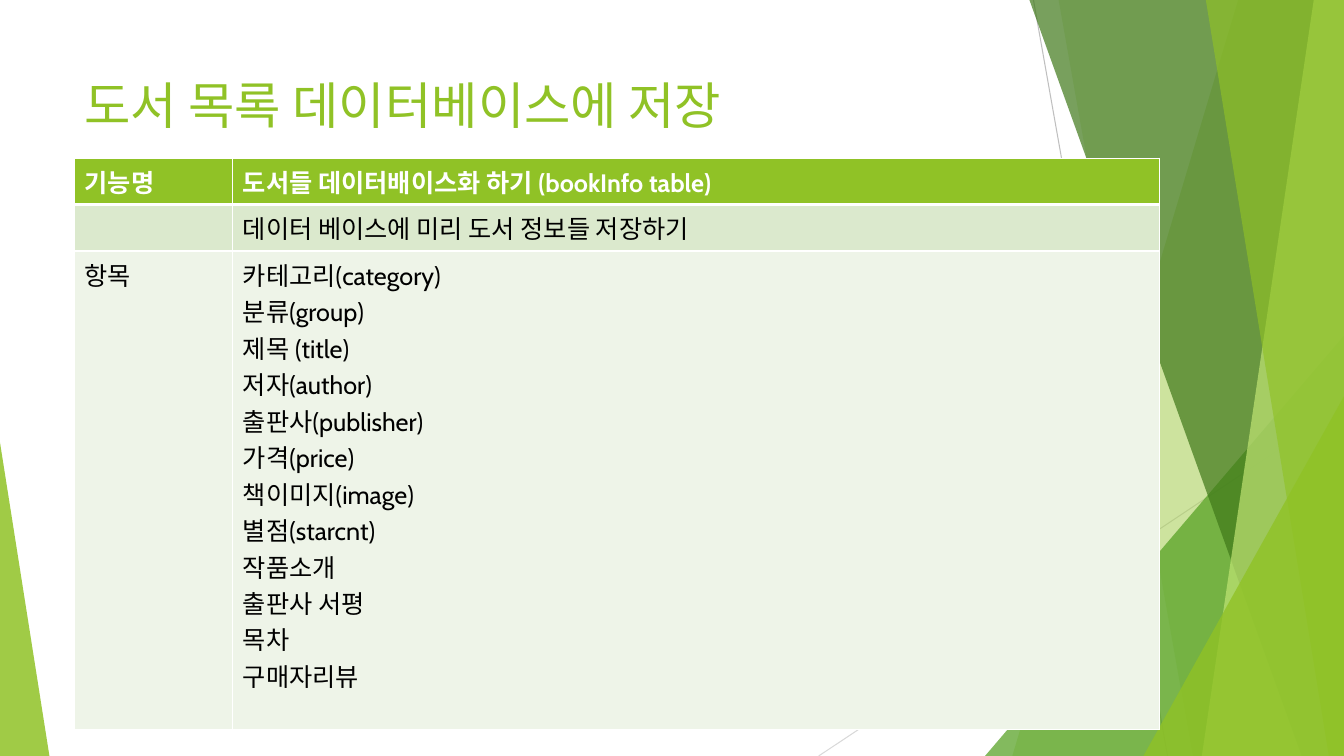
from lxml import etree
from pptx import Presentation
from pptx.dml.color import RGBColor
from pptx.enum.shapes import MSO_CONNECTOR, MSO_SHAPE
from pptx.enum.text import MSO_ANCHOR
from pptx.oxml import parse_xml
from pptx.oxml.ns import nsdecls, qn
from pptx.util import Inches, Pt

STRAIGHT = MSO_CONNECTOR.STRAIGHT
TRIANGLE = MSO_SHAPE.ISOSCELES_TRIANGLE
MIDDLE = MSO_ANCHOR.MIDDLE

# Content
FONT = "Cabin"
GREEN, WHITE, BLACK = "90C226", "FFFFFF", "000000"
W, H = 13.33, 7.5
TITLE = "도서 목록 데이터베이스에 저장"
FIELDS = [
    "카테고리(category)", "분류(group)", "제목 (title)", "저자(author)",
    "출판사(publisher)", "가격(price)", "책이미지(image)", "별점(starcnt)",
    "작품소개", "출판사 서평", "목차", "구매자리뷰",
]
# Each row: height, fill, text colour, bold, cells as lists of paragraphs
ROWS = [
    (0.46, GREEN, WHITE, True,
     (["기능명"], ["도서들 데이터배이스화 하기 (bookInfo table)"])),
    (0.46, "DBE9CD", BLACK, False,
     ([""], ["데이터 베이스에 미리 도서 정보들 저장하기"])),
    (4.75, "EEF4E8", BLACK, False, (["항목"], FIELDS)),
]
COLS = (1.57, 9.19)

# Decoration
LINES = [((10.25, 0), (11.58, H), "BFBFBF"), ((W, 4.03), (8.12, H), "D9D9D9")]
# Bands reach the right edge: (top x, bottom x); triangles: (left, top, width, apex)
PANELS = [
    ("band", (12.28, 10.04), GREEN, 30),
    ("band", (10.5, 11.83), GREEN, 20),
    ("triangle", (9.77, 3.33, 3.56, 1), "54A021", 72),
    ("band", (10.21, 12.91), "3F7819", 70),
    ("band", (13.03, 11.92), "C0E474", 70),
    ("band", (11.96, 13.18), GREEN, 65),
    ("triangle", (11.34, 3.93, 1.99, 1), GREEN, 80),
    ("triangle", (0, 4.39, 0.49, 0), GREEN, 85),
]


def paint(fill, color, opacity=100):
    fill.solid()
    fill.fore_color.rgb = RGBColor.from_string(color)
    if opacity < 100:
        clr = fill._xPr.find(".//" + qn("a:srgbClr"))
        etree.SubElement(clr, qn("a:alpha"), val=str(opacity * 1000))


def write(tf, lines, size, color, bold=False):
    for i, line in enumerate(lines):
        p = tf.add_paragraph() if i else tf.paragraphs[0]
        p.text = line
        p.font.name, p.font.size, p.font.bold = FONT, Pt(size), bold
        paint(p.font.fill, color)


def add_borders(cell, top, bottom):
    tcPr = cell._tc.get_or_add_tcPr()
    widths = (("L", 1), ("R", 1), ("T", top), ("B", bottom))
    for i, (side, width) in enumerate(widths):
        tcPr.insert(i, parse_xml(
            f'<a:ln{side} {nsdecls("a")} w="{Pt(width)}"><a:solidFill>'
            f'<a:srgbClr val="{WHITE}"/></a:solidFill></a:ln{side}>'))


prs = Presentation()
prs.slide_width, prs.slide_height = Inches(W), Inches(H)
s = prs.slides.add_slide(prs.slide_layouts[6])

# Thin background lines
for start, end, color in LINES:
    sp = s.shapes.add_connector(STRAIGHT, *map(Inches, start + end))
    paint(sp.line.fill, color)
    sp.line.width = Pt(0.75)
    etree.SubElement(sp._element.spPr, qn("a:effectLst"))

# Translucent green panels
for kind, geometry, color, opacity in PANELS:
    if kind == "band":
        top_x, bottom_x = geometry
        fb = s.shapes.build_freeform(Inches(top_x), 0)
        corners = ((W, 0), (W, H), (bottom_x, H))
        fb.add_line_segments([(Inches(x), Inches(y)) for x, y in corners])
        sp = fb.convert_to_shape()
    else:
        x, y, width, apex = geometry
        sp = s.shapes.add_shape(TRIANGLE, *map(Inches, (x, y, width, H - y)))
        sp.adjustments[0] = apex
    paint(sp.fill, color, opacity)
    sp.line.fill.background()
    sp.shadow.inherit = False

# Title
tf = s.shapes.add_textbox(*map(Inches, (0.74, 0.67, 9.4, 0.72))).text_frame
tf.word_wrap = True
tf.vertical_anchor = MIDDLE
write(tf, [TITLE], 36, GREEN)

# Table
box = (0.74, 1.57, sum(COLS), sum(row[0] for row in ROWS))
table = s.shapes.add_table(len(ROWS), len(COLS), *map(Inches, box)).table
for col, width in zip(table.columns, COLS):
    col.width = Inches(width)
for r, (height, fill, color, bold, texts) in enumerate(ROWS):
    table.rows[r].height = Inches(height)
    for c, lines in enumerate(texts):
        cell = table.cell(r, c)
        write(cell.text_frame, lines, 18, color, bold)
        paint(cell.fill, fill)
        add_borders(cell, 3 if r == 1 else 1, 3 if r == 0 else 1)

prs.save("out.pptx")
